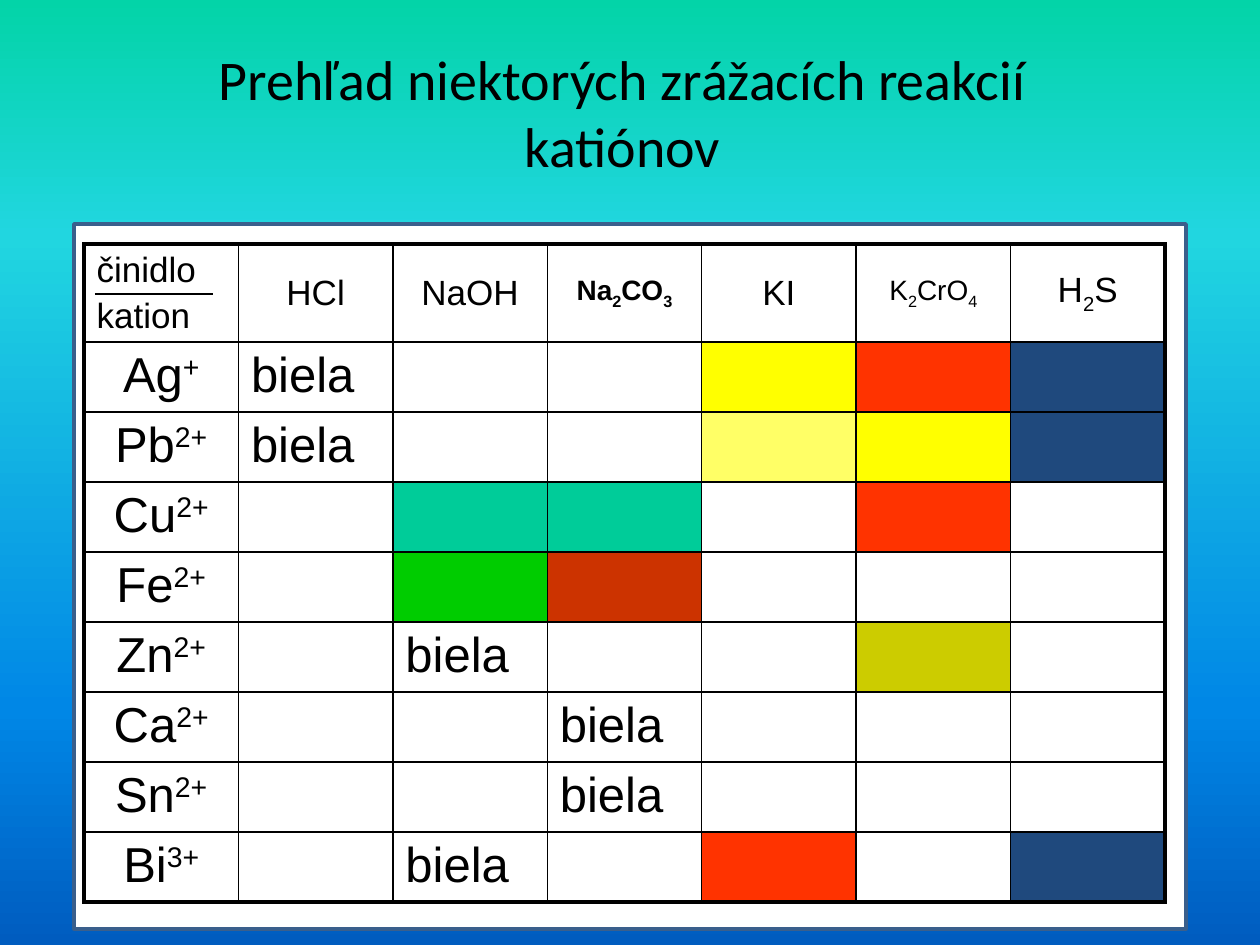
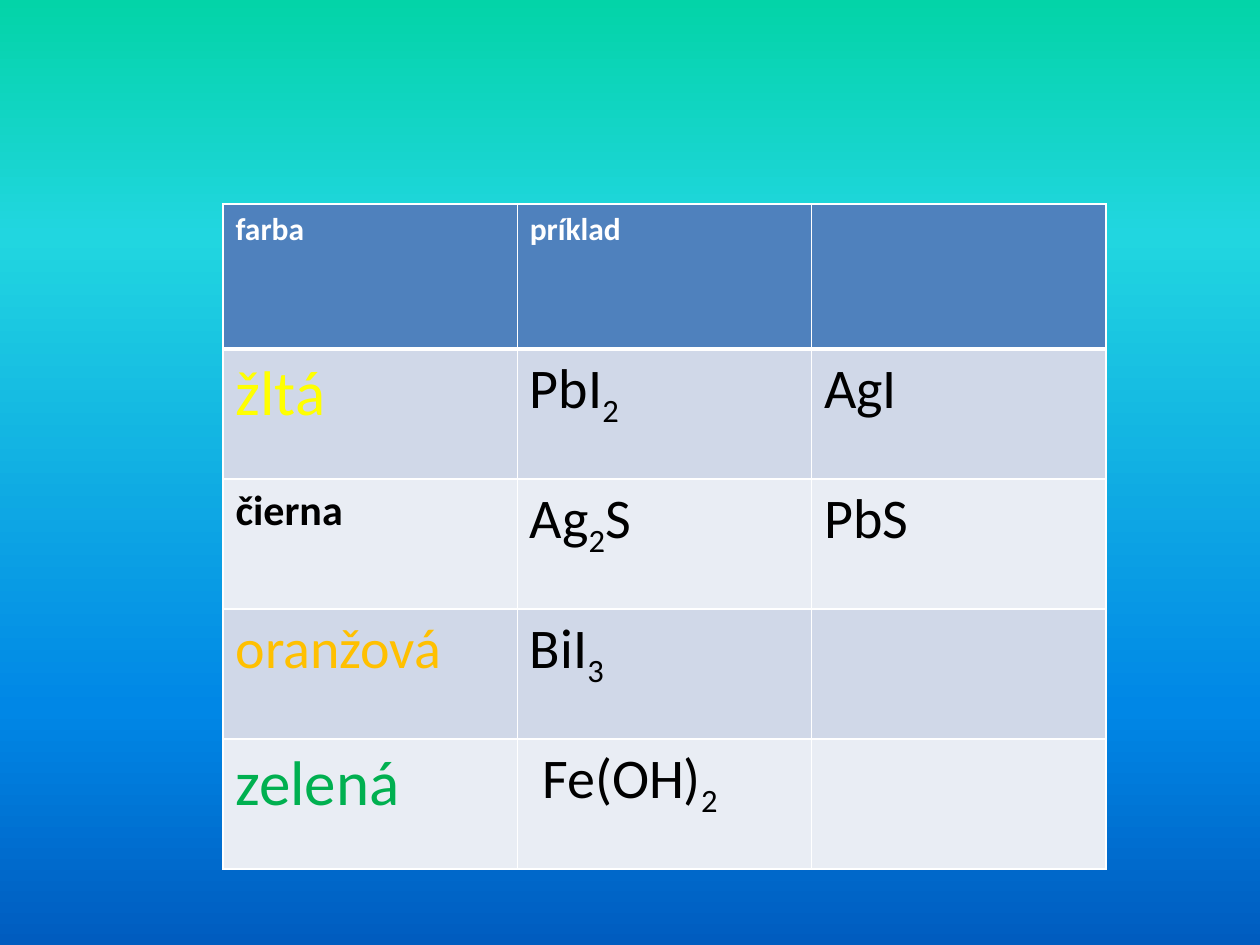
from pptx import Presentation
from pptx.dml.color import RGBColor
from pptx.enum.shapes import MSO_CONNECTOR, MSO_SHAPE
from pptx.enum.text import MSO_ANCHOR as ANCHOR, PP_ALIGN as ALIGN
from pptx.oxml import parse_xml
from pptx.oxml.ns import nsdecls, qn
from pptx.util import Emu, Pt
from lxml.etree import SubElement

BLACK = RGBColor(0x00, 0x00, 0x00)
WHITE = RGBColor(0xFF, 0xFF, 0xFF)
YELLOW = RGBColor(0xFF, 0xFF, 0x00)
PALE_YELLOW = RGBColor(0xFF, 0xFF, 0x66)
OLIVE = RGBColor(0xCC, 0xCC, 0x00)
RED = RGBColor(0xFF, 0x33, 0x00)
RUST = RGBColor(0xCC, 0x33, 0x00)
NAVY = RGBColor(0x1F, 0x49, 0x7D)
TEAL = RGBColor(0x00, 0xCC, 0x99)
GREEN = RGBColor(0x00, 0xCC, 0x00)
ORANGE = RGBColor(0xFF, 0xC0, 0x00)
LEAF = RGBColor(0x00, 0xB0, 0x50)
HEADER_BLUE = RGBColor(0x4F, 0x81, 0xBD)
BANDS = RGBColor(0xD0, 0xD8, 0xE8), RGBColor(0xE9, 0xED, 0xF4)
PANEL_LINE = RGBColor(0x3A, 0x5F, 0x8C)
SKY = [(0, "03D4A8"), (25, "21D6E0"), (75, "0087E6"), (100, "005CBF")]

TITLE = "Prehľad niektorých zrážacích reakcií katiónov"
CORNER = "činidlo\nkation"
REAGENTS = [
    ("HCl", 20, False), ("NaOH", 20, False), ("Na|2|CO|3", 16, True),
    ("KI", 20, False), ("K|2|CrO|4", 16, False), ("H|2|S", 20, False),
]
CATIONS = [
    ("Ag|+", {"HCl": "biela", "KI": YELLOW, "K|2|CrO|4": RED, "H|2|S": NAVY}),
    ("Pb|2+", {"HCl": "biela", "KI": PALE_YELLOW, "K|2|CrO|4": YELLOW, "H|2|S": NAVY}),
    ("Cu|2+", {"NaOH": TEAL, "Na|2|CO|3": TEAL, "K|2|CrO|4": RED}),
    ("Fe|2+", {"NaOH": GREEN, "Na|2|CO|3": RUST}),
    ("Zn|2+", {"NaOH": "biela", "K|2|CrO|4": OLIVE}),
    ("Ca|2+", {"Na|2|CO|3": "biela"}),
    ("Sn|2+", {"Na|2|CO|3": "biela"}),
    ("Bi|3+", {"NaOH": "biela", "KI": RED, "H|2|S": NAVY}),
]
COLOUR_HEADS = ["farba", "príklad"]
COLOURS = [
    ("žltá", dict(size=36, color=YELLOW), ["PbI|2", "AgI"]),
    ("čierna", dict(size=24, bold=True), ["Ag|2|S", "PbS"]),
    ("oranžová", dict(size=32, color=ORANGE), ["BiI|3"]),
    ("zelená", dict(size=36, color=LEAF), ["Fe(OH)|2"]),
]
INDENTED = {"Fe(OH)|2": 25}


def px(n):
    return Emu(round(n * 914400 / 126))


def write(tf, text, size=32, font="Calibri", color=BLACK, bold=False,
          align=ALIGN.LEFT, shift=-25, gap=0):
    for i, line in enumerate(text.split("\n")):
        p = tf.add_paragraph() if i else tf.paragraphs[0]
        p.alignment = align
        if i:
            p.space_before = Pt(gap)
        for j, part in enumerate(line.split("|")):
            r = p.add_run()
            r.text = part
            r.font.size, r.font.name, r.font.bold = Pt(size), font, bold
            r.font.color.rgb = color
            if j % 2:
                r._r.get_or_add_rPr().set("baseline", str(shift * 1000))


def paint_sky(master):
    master.background.fill.solid()
    bg = master._element.find(".//" + qn("p:bgPr"))
    stops = "".join(f'<a:gs pos="{pos * 1000}"><a:srgbClr val="{rgb}"/></a:gs>'
                    for pos, rgb in SKY)
    bg.replace(bg[0], parse_xml(
        f'<a:gradFill {nsdecls("a")} rotWithShape="1"><a:gsLst>{stops}</a:gsLst>'
        '<a:lin ang="5400000" scaled="0"/></a:gradFill>'))


def set_borders(cell, color, widths):
    tcPr = cell._tc.get_or_add_tcPr()
    for i, (side, width) in enumerate(zip("LRTB", widths)):
        ln = SubElement(tcPr, qn("a:ln" + side), w=str(Pt(width)))
        fill = SubElement(ln, qn("a:solidFill"))
        SubElement(fill, qn("a:srgbClr"), val=str(color))
        tcPr.insert(i, ln)


def add_grid(slide, x, y, width, heights, columns, color, v_lines, h_lines):
    frame = slide.shapes.add_table(len(heights), columns, px(x), px(y),
                                   px(width), px(sum(heights)))
    table = frame.table
    table.first_row = table.horz_banding = False
    for col in table.columns:
        col.width = px(width / columns)
    for i, height in enumerate(heights):
        table.rows[i].height = px(height)
        for j in range(columns):
            cell = table.cell(i, j)
            cell.fill.background()
            set_borders(cell, color, v_lines[j:j + 2] + h_lines[i:i + 2])
    return table


def fill_cell(cell, color):
    cell.fill.solid()
    cell.fill.fore_color.rgb = color


def build_reactions(prs):
    slide = prs.slides.add_slide(prs.slide_layouts[5])
    title = slide.shapes.title
    title.left, title.top, title.width, title.height = map(px, (129, 14, 987, 195))
    title.text_frame.vertical_anchor = ANCHOR.MIDDLE
    write(title.text_frame, TITLE, align=ALIGN.CENTER)

    panel = slide.shapes.add_shape(MSO_SHAPE.RECTANGLE, *map(px, (74, 224, 1112, 705)))
    panel.shadow.inherit = False
    panel.fill.solid()
    panel.fill.fore_color.rgb = WHITE
    panel.line.color.rgb = PANEL_LINE
    panel.line.width = Pt(2)

    heights = [98] + [70] * len(CATIONS)
    columns = len(REAGENTS) + 1
    table = add_grid(slide, 84, 244, 1081, heights, columns, BLACK,
                     [2.25] + [1] * (columns - 1) + [2.25],
                     [2.25] + [1] * len(CATIONS) + [2.25])
    write(table.cell(0, 0).text_frame, CORNER, size=20, font="Arial", gap=4)
    for j, (reagent, size, bold) in enumerate(REAGENTS, 1):
        cell = table.cell(0, j)
        cell.vertical_anchor = ANCHOR.MIDDLE
        write(cell.text_frame, reagent, size=size, font="Arial", bold=bold,
              align=ALIGN.CENTER)
    for i, (cation, results) in enumerate(CATIONS, 1):
        write(table.cell(i, 0).text_frame, cation, size=28, font="Arial",
              align=ALIGN.CENTER, shift=30)
        for j, (reagent, _, _) in enumerate(REAGENTS, 1):
            result = results.get(reagent)
            if isinstance(result, str):
                write(table.cell(i, j).text_frame, result, size=28, font="Arial")
            elif result is not None:
                fill_cell(table.cell(i, j), result)

    rule = slide.shapes.add_connector(MSO_CONNECTOR.STRAIGHT,
                                      *map(px, (95, 294, 213, 294)))
    rule.line.color.rgb = BLACK
    rule.line.width = Pt(0.75)
    SubElement(rule._element.spPr, qn("a:effectLst"))


def build_colours(prs):
    slide = prs.slides.add_slide(prs.slide_layouts[6])
    table = add_grid(slide, 223, 204, 883, [145] + [130] * len(COLOURS), 3, WHITE,
                     [1] * 4, [1, 3] + [1] * len(COLOURS))
    for j in range(3):
        fill_cell(table.cell(0, j), HEADER_BLUE)
    for j, head in enumerate(COLOUR_HEADS):
        write(table.cell(0, j).text_frame, head, size=18, color=WHITE, bold=True)
    for i, (name, style, examples) in enumerate(COLOURS, 1):
        for j in range(3):
            fill_cell(table.cell(i, j), BANDS[(i - 1) % 2])
        write(table.cell(i, 0).text_frame, name, **style)
        for j, example in enumerate(examples, 1):
            cell = table.cell(i, j)
            if example in INDENTED:
                cell.margin_left = px(INDENTED[example])
            write(cell.text_frame, example)


def main():
    prs = Presentation()
    prs.slide_width, prs.slide_height = px(1260), px(945)
    paint_sky(prs.slide_master)
    build_reactions(prs)
    build_colours(prs)
    prs.save("out.pptx")


if __name__ == "__main__":
    main()
